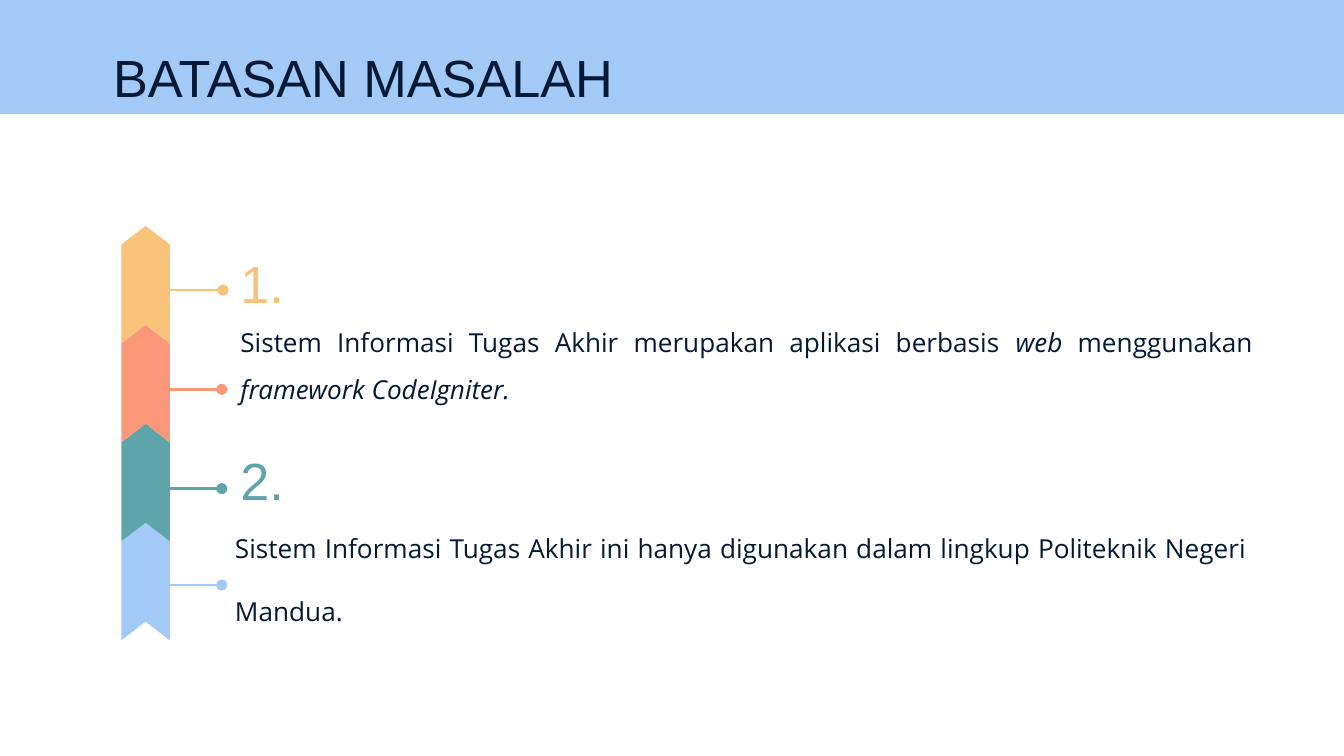
"""Build the slide on the limits of the problem."""
from dataclasses import dataclass

from lxml.etree import SubElement
from pptx import Presentation
from pptx.dml.color import RGBColor as Rgb
from pptx.enum.shapes import MSO_CONNECTOR as Link, MSO_SHAPE as Form
from pptx.enum.text import MSO_ANCHOR as Anchor, PP_ALIGN as Align
from pptx.oxml.ns import qn
from pptx.util import Pt


@dataclass(frozen=True)
class Theme:
    """Colours, fonts and type sizes."""
    ink: str = "051934"
    blue: str = "A3CAF7"
    teal: str = "5FA4AB"
    coral: str = "FA9778"
    gold: str = "F8C379"
    head: str = "Arial"
    body: str = "Open Sans"
    big: int = 28
    small: int = 14


LOOK = Theme()


def paint(shape, color):
    """Give a shape a plain fill with no line or shadow."""
    shape.shadow.inherit = False
    shape.fill.solid()
    shape.fill.fore_color.rgb = Rgb.from_string(color)
    shape.line.fill.background()


def add_band(slide, wide, high):
    """Draw the band behind the title."""
    paint(slide.shapes.add_shape(Form.RECTANGLE, 0, 0, Pt(wide), Pt(high)), LOOK.blue)


def add_text(slide, runs, box, *, font=LOOK.head, size=LOOK.big, color=LOOK.ink,
             align=Align.LEFT, lead=1.0, after=0, top=7.2):
    """Add a text box from pairs of text and italic flag."""
    frame = slide.shapes.add_textbox(*map(Pt, box)).text_frame
    frame.word_wrap = True
    frame.vertical_anchor = Anchor.TOP
    frame.margin_left = frame.margin_right = frame.margin_bottom = Pt(7.2)
    frame.margin_top = Pt(top)
    para = frame.paragraphs[0]
    para.alignment = align
    para.line_spacing = lead
    para.space_after = Pt(after)
    for text, slant in runs:
        run = para.add_run()
        run.text = text
        run.font.name = font
        run.font.size = Pt(size)
        run.font.italic = slant
        run.font.color.rgb = Rgb.from_string(color)


def add_head(slide, text, box, color=LOOK.ink):
    """Add a large heading."""
    add_text(slide, [(text, False)], box, color=color, top=10)


def add_body(slide, runs, left, top, lead):
    """Add a justified paragraph."""
    add_text(slide, runs, (left, top, 556.5, 52), font=LOOK.body, size=LOOK.small,
             align=Align.JUSTIFY, lead=lead, after=8)


def add_arrow(slide, left, top, color):
    """Draw one upward chevron of the ribbon."""
    wide, high, notch = 26, 63.4, 10.4
    mid, right, foot = left + wide / 2, left + wide, top + high
    pen = slide.shapes.build_freeform(left, foot, scale=float(Pt(1)))
    pen.add_line_segments([(mid, foot - notch), (right, foot), (right, top + notch),
                           (mid, top), (left, top + notch)], close=True)
    paint(pen.convert_to_shape(), color)


def add_pin(slide, start, end, y, color):
    """Draw a line with a round head at its start."""
    pin = slide.shapes.add_connector(Link.STRAIGHT, Pt(start), Pt(y), Pt(end), Pt(y))
    pin.line.width = Pt(1.5)
    pin.line.color.rgb = Rgb.from_string(color)
    SubElement(pin.line._get_or_add_ln(), qn("a:headEnd"), type="oval")
    SubElement(pin._element.spPr, qn("a:effectLst"))


def main():
    """Build and save the slide."""
    deck = Presentation()
    deck.slide_width, deck.slide_height = Pt(720), Pt(405)
    slide = deck.slides.add_slide(deck.slide_layouts[6])

    add_band(slide, 720, 61.2)
    add_head(slide, "BATASAN MASALAH", (53.5, 14.4, 556.5, 45.4))

    steps = [(LOOK.gold, 119.5, 155.4), (LOOK.coral, 118.8, 208.6),
             (LOOK.teal, 118.8, 261.8), (LOOK.blue, 118.8, 313.4)]
    for rank, (color, _, _) in reversed(list(enumerate(steps))):
        add_arrow(slide, 64.8, 121 + 52.9 * rank, color)
    for color, start, y in steps:
        add_pin(slide, start, 84, y, color)

    add_head(slide, "1.", (121.7, 124.6, 100, 26.6), LOOK.gold)
    add_body(slide, [("Sistem Informasi Tugas Akhir merupakan aplikasi berbasis ", False),
                     ("web ", True), ("menggunakan ", False),
                     ("framework CodeIgniter.", True)], 121.7, 159.1, 1.5)
    add_head(slide, "2.", (121.7, 230.4, 100, 26.6), LOOK.teal)
    add_body(slide, [("Sistem Informasi Tugas Akhir ini hanya digunakan dalam lingkup "
                      "Politeknik Negeri Mandua.", False)], 118.8, 261.4, 2.0)
    deck.save("out.pptx")


main()
